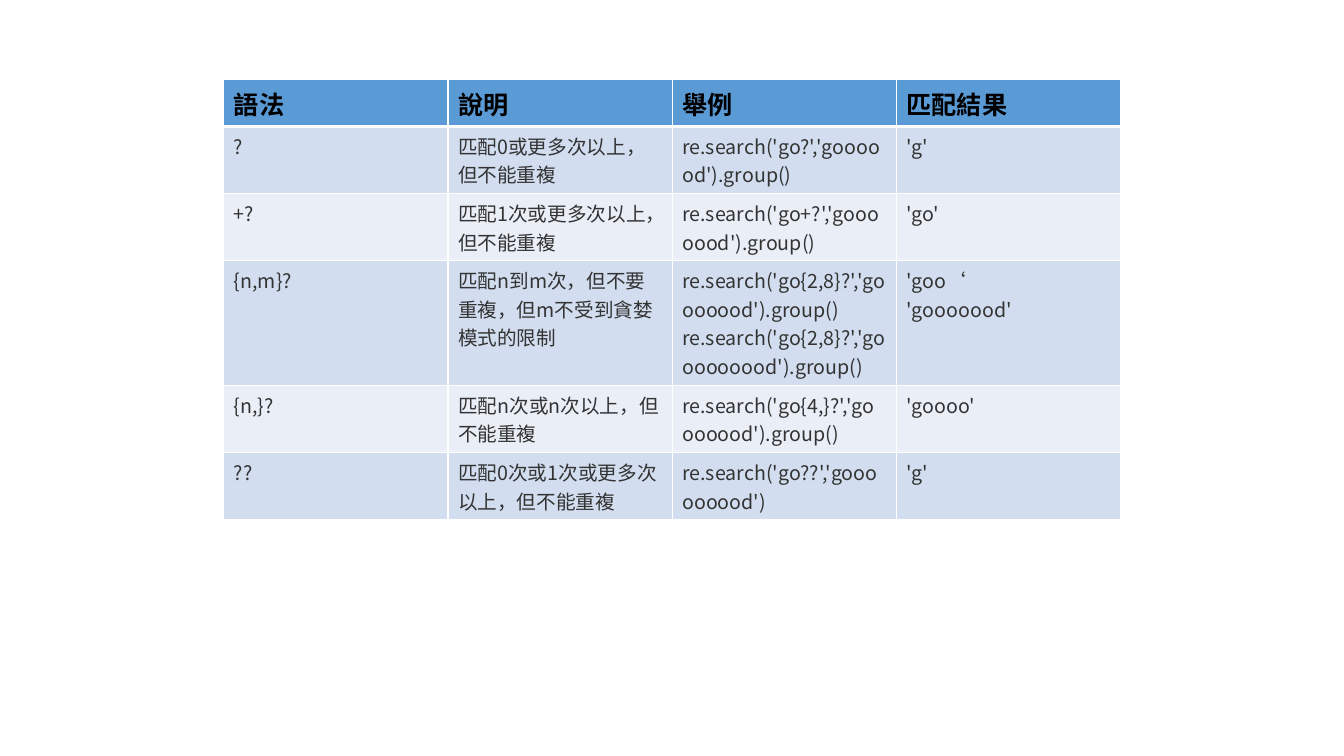
from pptx import Presentation
from pptx.dml.color import RGBColor
from pptx.oxml.ns import qn
from pptx.util import Cm, Pt
from lxml.etree import SubElement

FONT = "Noto Sans CJK SC"
WHITE, BLACK, GREY = "FFFFFF", "000000", "333333"
HEADER_BLUE, BAND_DARK, BAND_LIGHT = "5B9BD5", "D2DEEF", "EAEFF7"

HEADER = ["語法", "說明", "舉例", "匹配結果"]
RULES = [
    ["?", "匹配0或更多次以上，但不能重複",
     "re.search('go?','goooood').group()", "'g'"],
    ["+?", "匹配1次或更多次以上，但不能重複",
     "re.search('go+?','gooooood').group()", "'go'"],
    ["{n,m}?", "匹配n到m次，但不要重複，但m不受到貪婪模式的限制",
     "re.search('go{2,8}?','gooooood').group()\n"
     "re.search('go{2,8}?','gooooooood').group()",
     "'goo‘\n'gooooood'"],
    ["{n,}?", "匹配n次或n次以上，但不能重複",
     "re.search('go{4,}?','gooooood').group()", "'goooo'"],
    ["??", "匹配0次或1次或更多次以上，但不能重複",
     "re.search('go??','gooooooood')", "'g'"],
]


def rgb(code):
    return RGBColor.from_string(code)


class SlideBuilder:
    """Holds the text style and the current slide."""

    def __init__(self, slide, font):
        self.s = slide
        self.font = font

    def style_run(self, r, size, color, bold):
        r.font.size = Pt(size)
        r.font.bold = bold
        r.font.color.rgb = rgb(color)
        r.font.name = self.font
        SubElement(r.font._element, qn("a:ea"), typeface=self.font)

    def border(self, cell, side, width):
        tc_pr = cell._tc.get_or_add_tcPr()
        ln = SubElement(tc_pr, qn(f"a:ln{side}"), w=str(Pt(width)))
        fill = SubElement(ln, qn("a:solidFill"))
        SubElement(fill, qn("a:srgbClr"), val=WHITE)

    def cell(self, cell, text, fill, size, color, bold, top, bottom):
        for side, width in zip("LRTB", (1, 1, top, bottom)):
            self.border(cell, side, width)
        cell.fill.solid()
        cell.fill.fore_color.rgb = rgb(fill)
        cell.text_frame.text = text
        for p in cell.text_frame.paragraphs:
            for r in p.runs:
                self.style_run(r, size, color, bold)

    def table(self, header, rows, left, top, col_width, row_height):
        n_rows, n_cols = len(rows) + 1, len(header)
        table = self.s.shapes.add_table(
            n_rows, n_cols, Cm(left), Cm(top),
            Cm(col_width * n_cols), Cm(row_height * n_rows)).table
        for i, row in enumerate([header] + rows):
            for j, text in enumerate(row):
                if i == 0:
                    look = (HEADER_BLUE, 18, BLACK, True, 1, 3)
                else:
                    band = BAND_DARK if i % 2 else BAND_LIGHT
                    look = (band, 14, GREY, False, 3 if i == 1 else 1, 1)
                self.cell(table.cell(i, j), text, *look)


def main():
    prs = Presentation()
    prs.slide_width, prs.slide_height = Cm(33.87), Cm(19.05)

    # Blank slide
    s = prs.slides.add_slide(prs.slide_layouts[6])
    builder = SlideBuilder(s, FONT)

    # Table of non-greedy quantifiers
    builder.table(HEADER, RULES, left=5.64, top=2.01,
                  col_width=5.65, row_height=1.03)

    prs.save("out.pptx")


if __name__ == "__main__":
    main()
